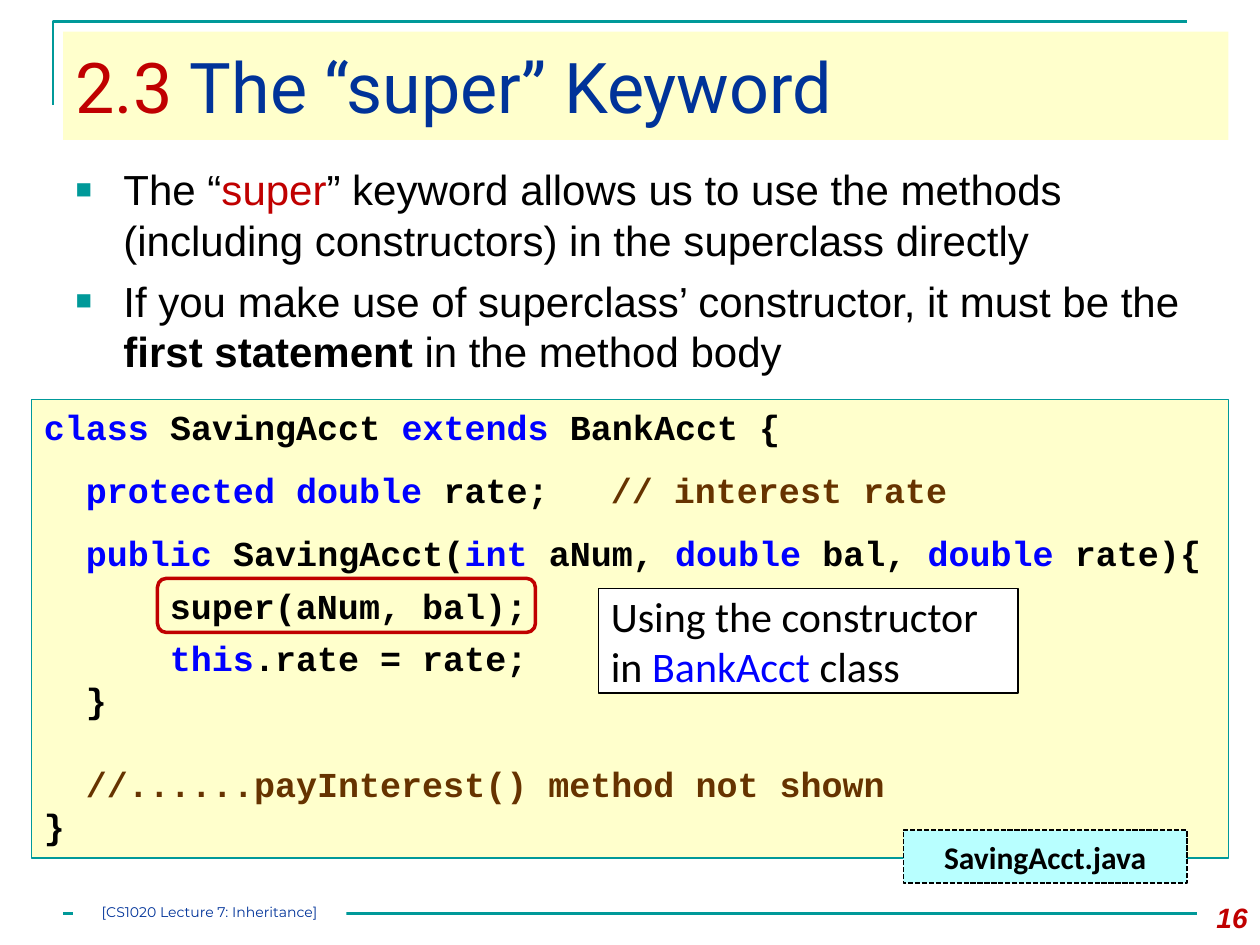
from lxml import etree
from pptx import Presentation
from pptx.dml.color import RGBColor
from pptx.enum.dml import MSO_LINE
from pptx.enum.shapes import MSO_CONNECTOR, MSO_SHAPE
from pptx.enum.text import MSO_ANCHOR, MSO_AUTO_SIZE, PP_ALIGN
from pptx.oxml.ns import qn
from pptx.util import Inches, Pt

RECT, ROUNDED = MSO_SHAPE.RECTANGLE, MSO_SHAPE.ROUNDED_RECTANGLE
LEFT, CENTER, RIGHT = PP_ALIGN.LEFT, PP_ALIGN.CENTER, PP_ALIGN.RIGHT
TOP, MIDDLE = MSO_ANCHOR.TOP, MSO_ANCHOR.MIDDLE

TEAL, CREAM, RED, NAVY = "009999", "FFFFCC", "C00000", "003399"
BLACK, WHITE, BLUE, BROWN, CYAN = "000000", "FFFFFF", "0000FF", "663300", "B8FFFF"
CODE_SIZE = 20
CODE_CHAR = CODE_SIZE * 0.6  # width of one monospaced character, in points

# Each bullet is a list of (text, colour, bold)
BULLETS = [
    [("The “", BLACK, False), ("super", RED, False),
     ("” keyword allows us to use the methods (including constructors) "
      "in the superclass directly", BLACK, False)],
    [("If you make use of superclass’ constructor, it must be the ", BLACK, False),
     ("first statement ", BLACK, True), ("in the method body", BLACK, False)],
]

# Each code line: indent in characters, points before, points after, (text, colour) runs
CODE = [
    (0, 0, 0, [("class ", BLUE), ("SavingAcct ", BLACK), ("extends", BLUE),
               (" BankAcct {", BLACK)]),
    (2, 12, 0, [("protected double ", BLUE), ("rate;\t", BLACK),
                ("// interest rate", BROWN)]),
    (2, 12, 0, [("public ", BLUE), ("SavingAcct(", BLACK), ("int ", BLUE),
                ("aNum, ", BLACK), ("double", BLUE), (" bal, ", BLACK),
                ("double", BLUE), (" rate){", BLACK)]),
    (6, 6, 6, [("super(aNum, bal);", BLACK)]),
    (6, 0, 0, [("this", BLUE), (".rate = rate;", BLACK)]),
    (2, 0, 0, [("}", BLACK)]),
    (2, 24, 0, [("//......payInterest() method not shown", BROWN)]),
    (0, 0, 0, [("}", BLACK)]),
]
COMMENT_COLUMN = 28


def rgb(colour):
    return RGBColor.from_string(colour)


def place(shape, left, top, width, height):
    shape.left, shape.top = Inches(left), Inches(top)
    shape.width, shape.height = Inches(width), Inches(height)


def set_line(shape, colour, width):
    shape.line.color.rgb = rgb(colour)
    shape.line.width = Pt(width)


def add_run(paragraph, text, font, size, colour, bold=False, italic=False):
    run = paragraph.add_run()
    run.text = text
    run.font.name, run.font.size = font, Pt(size)
    run.font.bold, run.font.italic = bold, italic
    run.font.color.rgb = rgb(colour)


def prepare_text(shape, anchor=TOP, align=LEFT):
    """Set up the frame and return it with its first paragraph."""
    frame = shape.text_frame
    frame.word_wrap = True
    frame.auto_size = MSO_AUTO_SIZE.NONE
    frame.vertical_anchor = anchor
    paragraph = frame.paragraphs[0]
    paragraph.alignment = align
    return frame, paragraph


def add_box(slide, kind, bounds, fill=None, line=None, width=1):
    box = slide.shapes.add_shape(kind, *map(Inches, bounds))
    box.shadow.inherit = False
    if fill:
        box.fill.solid()
        box.fill.fore_color.rgb = rgb(fill)
    else:
        box.fill.background()
    if line:
        set_line(box, line, width)
    else:
        box.line.fill.background()
    return box


def add_frame_lines(slide):
    builder = slide.shapes.build_freeform(Inches(0.42), Inches(0.83))
    builder.add_line_segments(
        [(Inches(0.42), Inches(0.17)), (Inches(9.42), Inches(0.17))], close=False)
    corner = builder.convert_to_shape()
    corner.shadow.inherit = False
    corner.fill.background()
    set_line(corner, TEAL, 1.5)

    footer_rule = slide.shapes.add_connector(
        MSO_CONNECTOR.STRAIGHT, Inches(0.5), Inches(7.25), Inches(9.5), Inches(7.25))
    set_line(footer_rule, TEAL, 1.5)
    etree.SubElement(footer_rule._element.spPr, qn("a:effectLst"))


def fill_title(title):
    place(title, 0.5, 0.25, 9.25, 0.86)
    title.fill.solid()
    title.fill.fore_color.rgb = rgb(CREAM)
    _, heading = prepare_text(title, MIDDLE)
    add_run(heading, "2.3 ", "Roboto", 40, RED)
    add_run(heading, "The “super” Keyword", "Roboto", 40, NAVY)


def set_bullet(paragraph):
    properties = paragraph._p.get_or_add_pPr()
    properties.set("marL", str(Inches(0.38)))
    properties.set("indent", str(Inches(-0.38)))
    colour = etree.SubElement(properties, qn("a:buClr"))
    etree.SubElement(colour, qn("a:srgbClr"), val=TEAL)
    etree.SubElement(properties, qn("a:buSzPct"), val="65000")
    etree.SubElement(properties, qn("a:buFont"), typeface="Arial")
    etree.SubElement(properties, qn("a:buChar"), char="■")


def fill_bullets(body):
    place(body, 0.5, 1.25, 9.25, 1.75)
    frame, point = prepare_text(body)
    for index, runs in enumerate(BULLETS):
        if index:
            point = frame.add_paragraph()
        point.space_before = Pt(6)
        set_bullet(point)
        for text, colour, bold in runs:
            add_run(point, text, "Arial", 24, colour, bold)


def add_code(slide):
    listing = add_box(slide, RECT, (0.25, 3.17, 9.5, 3.64), CREAM, TEAL, 0.75)
    frame, code_line = prepare_text(listing)
    for index, (indent, before, after, runs) in enumerate(CODE):
        if index:
            code_line = frame.add_paragraph()
        code_line.alignment = LEFT
        code_line.space_before, code_line.space_after = Pt(before), Pt(after)
        properties = code_line._p.get_or_add_pPr()
        properties.set("marL", "0")
        properties.set("indent", str(Pt(indent * CODE_CHAR)))
        tabs = etree.SubElement(properties, qn("a:tabLst"))
        etree.SubElement(tabs, qn("a:tab"),
                         pos=str(Pt(COMMENT_COLUMN * CODE_CHAR)), algn="l")
        for text, colour in runs:
            add_run(code_line, text, "Courier New", CODE_SIZE, colour, bold=True)


def add_annotations(slide):
    file_label = add_box(slide, RECT, (7.17, 6.59, 2.25, 0.42), CYAN, BLACK)
    file_label.line.dash_style = MSO_LINE.SQUARE_DOT
    _, file_name = prepare_text(file_label, MIDDLE, CENTER)
    add_run(file_name, "SavingAcct.java", "Calibri", 18, BLACK, bold=True)

    callout = add_box(slide, RECT, (4.75, 4.67, 3.33, 0.83), WHITE, BLACK)
    _, remark = prepare_text(callout, MIDDLE)
    for text, colour in [("Using the constructor in ", BLACK),
                         ("BankAcct", BLUE), (" class", BLACK)]:
        add_run(remark, text, "Calibri", 24, colour)

    # Outline around the super(...) call
    add_box(slide, ROUNDED, (1.25, 4.59, 3, 0.43), line=RED, width=2)


def add_footer(slide):
    lecture = add_box(slide, RECT, (0.58, 7.17, 2.17, 0.18), WHITE)
    frame, lecture_name = prepare_text(lecture, TOP, CENTER)
    frame.margin_left = frame.margin_right = frame.margin_top = frame.margin_bottom = 0
    add_run(lecture_name, "[CS1020 Lecture 7: Inheritance]", "Montserrat", 8, NAVY)

    page = slide.shapes.add_textbox(*map(Inches, (9.33, 7.1, 0.67, 0.4)))
    _, page_number = prepare_text(page, TOP, RIGHT)
    add_run(page_number, "16", "Arial", 16, RED, bold=True, italic=True)


def main():
    deck = Presentation()
    deck.slide_width, deck.slide_height = Inches(10), Inches(7.5)
    slide = deck.slides.add_slide(deck.slide_layouts[1])
    add_frame_lines(slide)
    fill_title(slide.shapes.title)
    fill_bullets(slide.placeholders[1])
    add_code(slide)
    add_annotations(slide)
    add_footer(slide)
    deck.save("out.pptx")


if __name__ == "__main__":
    main()
